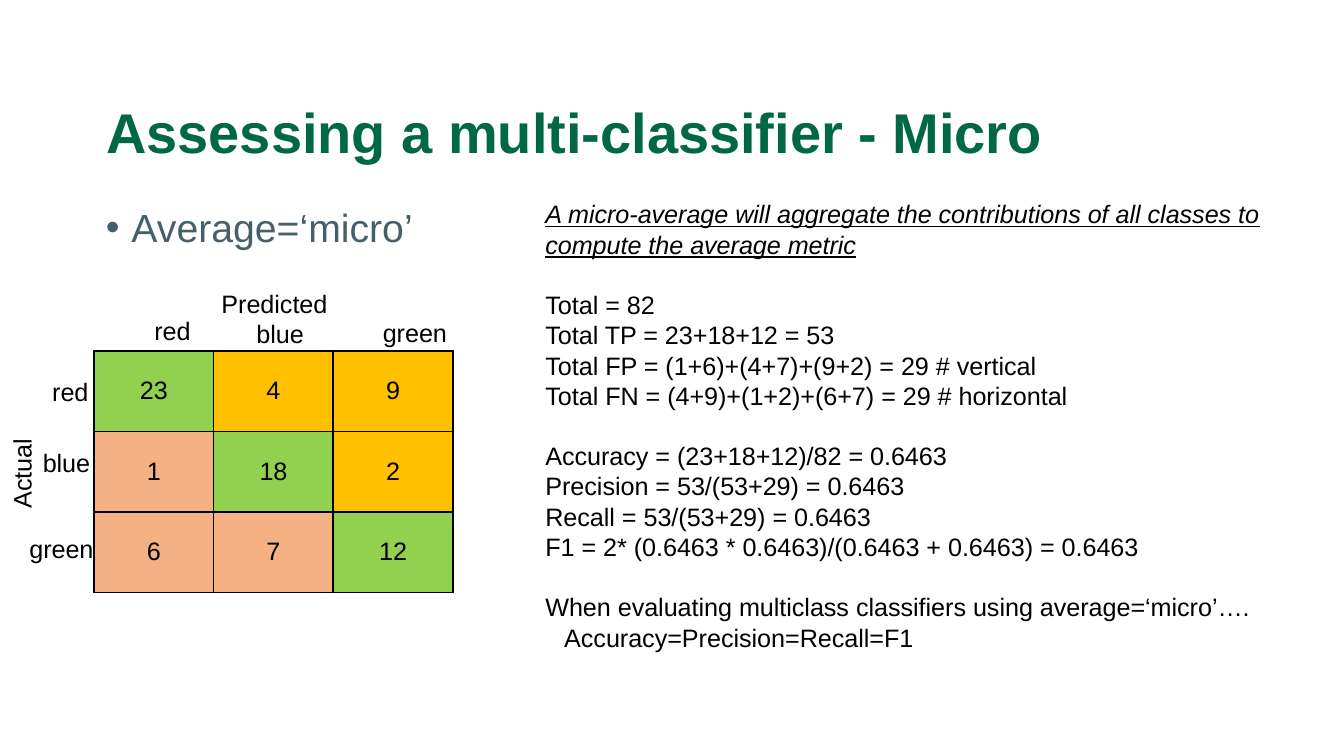
"""Build the slide on micro-averaged metrics of a multi-class classifier."""
from lxml.etree import SubElement
from pptx import Presentation
from pptx.dml.color import RGBColor
from pptx.enum.text import MSO_ANCHOR as Anchor, MSO_AUTO_SIZE as AutoSize, PP_ALIGN as Align
from pptx.oxml.ns import qn
from pptx.util import Inches, Pt

COLORS = {
    "title": "006747", "bullet": "466069", "text": "000000", "border": "000000",
    "hit": "92D050", "above": "FFC000", "below": "F4B183",
}
FONT = "Arial"
SMALL = 13.5
TITLE = "Assessing a multi-classifier - Micro"
BULLET = "Average=‘micro’"
MATRIX = [(23, 4, 9), (1, 18, 2), (6, 7, 12)]
LABELS = [
    ("Predicted", 1.55, 2.1, 1, 0),
    ("Actual", -0.2, 3.35, 0.73, 270),
    ("red", 1.05, 2.3, 0.48, 0),
    ("blue", 1.81, 2.32, 0.56, 0),
    ("green", 2.75, 2.31, 0.69, 0),
    ("red", 0.29, 2.75, 0.48, 0),
    ("blue", 0.22, 3.28, 0.56, 0),
    ("green", 0.12, 3.92, 0.69, 0),
]
HEADLINE = "A micro-average will aggregate the contributions of all classes to compute the average metric"
CONCLUSION = "Accuracy=Precision=Recall=F1"
GROUPS = [
    [HEADLINE],
    [
        "Total = 82",
        "Total TP = 23+18+12 = 53",
        "Total FP = (1+6)+(4+7)+(9+2) = 29 # vertical",
        "Total FN = (4+9)+(1+2)+(6+7) = 29 # horizontal",
    ],
    [
        "Accuracy = (23+18+12)/82 = 0.6463",
        "Precision = 53/(53+29) = 0.6463",
        "Recall = 53/(53+29) = 0.6463",
        "F1 = 2* (0.6463 * 0.6463)/(0.6463 + 0.6463) = 0.6463",
    ],
    ["When evaluating multiclass classifiers using average=‘micro’….", CONCLUSION],
]
LEFT, TABLE_LEFT, TABLE_TOP = 0.69, 0.7, 2.61
COLUMN, ROW = 0.89, 0.6
GROUP_GAP = 16.2


def style(para, size, color, bold=False):
    for span in para.runs:
        span.font.name = FONT
        span.font.size = Pt(size)
        span.font.bold = bold
        span.font.color.rgb = RGBColor.from_string(COLORS[color])


def add_box(page, left, top, width, height, wrap=True):
    box = page.shapes.add_textbox(*map(Inches, (left, top, width, height)))
    box.text_frame.word_wrap = wrap
    return box


def add_title(page):
    title = page.shapes.title
    title.left, title.top, title.width, title.height = map(Inches, (LEFT, 0.63, 8.62, 0.76))
    title.text_frame.text = TITLE
    title.text_frame.vertical_anchor = Anchor.MIDDLE
    para = title.text_frame.paragraphs[0]
    para.alignment = Align.LEFT
    para.line_spacing = 0.9
    style(para, 30, "title", bold=True)


def add_bullet(page):
    para = add_box(page, LEFT, 1.5, 8.93, 3.57).text_frame.paragraphs[0]
    para.text = BULLET
    para.line_spacing = 0.9
    para.space_before = Pt(7.5)
    style(para, 21, "bullet")
    properties = para._p.get_or_add_pPr()
    properties.set("marL", str(Inches(0.19)))
    properties.set("indent", str(-Inches(0.19)))
    SubElement(properties, qn("a:buFont"), typeface=FONT)
    SubElement(properties, qn("a:buChar"), char="•")


def add_borders(cell):
    properties = cell._tc.get_or_add_tcPr()
    for index, side in enumerate(("lnL", "lnR", "lnT", "lnB")):
        line = SubElement(properties, qn(f"a:{side}"), w=str(Pt(1)))
        fill = SubElement(line, qn("a:solidFill"))
        SubElement(fill, qn("a:srgbClr"), val=COLORS["border"])
        properties.insert(index, line)


def add_matrix(page):
    size = len(MATRIX)
    frame = page.shapes.add_table(
        size, size, Inches(TABLE_LEFT), Inches(TABLE_TOP), Inches(size * COLUMN), Inches(size * ROW))
    for r, values in enumerate(MATRIX):
        frame.table.rows[r].height = Inches(ROW)
        frame.table.columns[r].width = Inches(COLUMN)
        for c, value in enumerate(values):
            cell = frame.table.cell(r, c)
            kind = "hit" if r == c else "above" if c > r else "below"
            cell.fill.solid()
            cell.fill.fore_color.rgb = RGBColor.from_string(COLORS[kind])
            cell.vertical_anchor = Anchor.MIDDLE
            cell.text_frame.text = str(value)
            para = cell.text_frame.paragraphs[0]
            para.alignment = Align.CENTER
            style(para, SMALL, "text")
            add_borders(cell)


def add_labels(page):
    for text, left, top, width, rotation in LABELS:
        box = add_box(page, left, top, width, 0.33, wrap=False)
        box.rotation = rotation
        box.text_frame.auto_size = AutoSize.SHAPE_TO_FIT_TEXT
        box.text_frame.text = text
        style(box.text_frame.paragraphs[0], SMALL, "text")


def add_metrics(page):
    frame = add_box(page, 3.96, 1.43, 5.63, 3.97).text_frame
    frame.text = "\n".join(line for group in GROUPS for line in group)
    starts = {group[0] for group in GROUPS[1:]}
    for para in frame.paragraphs:
        style(para, SMALL, "text")
        if para.text in starts:
            para.space_before = Pt(GROUP_GAP)
        if para.text == CONCLUSION:
            para._p.get_or_add_pPr().set("marL", str(Inches(0.14)))
    headline = frame.paragraphs[0].runs[0].font
    headline.italic = headline.underline = True


def main():
    deck = Presentation()
    deck.slide_width = Inches(10)
    deck.slide_height = deck.slide_width * 9 // 16
    page = deck.slides.add_slide(deck.slide_layouts[5])
    add_title(page)
    add_bullet(page)
    add_matrix(page)
    add_labels(page)
    add_metrics(page)
    deck.save("out.pptx")


if __name__ == "__main__":
    main()
